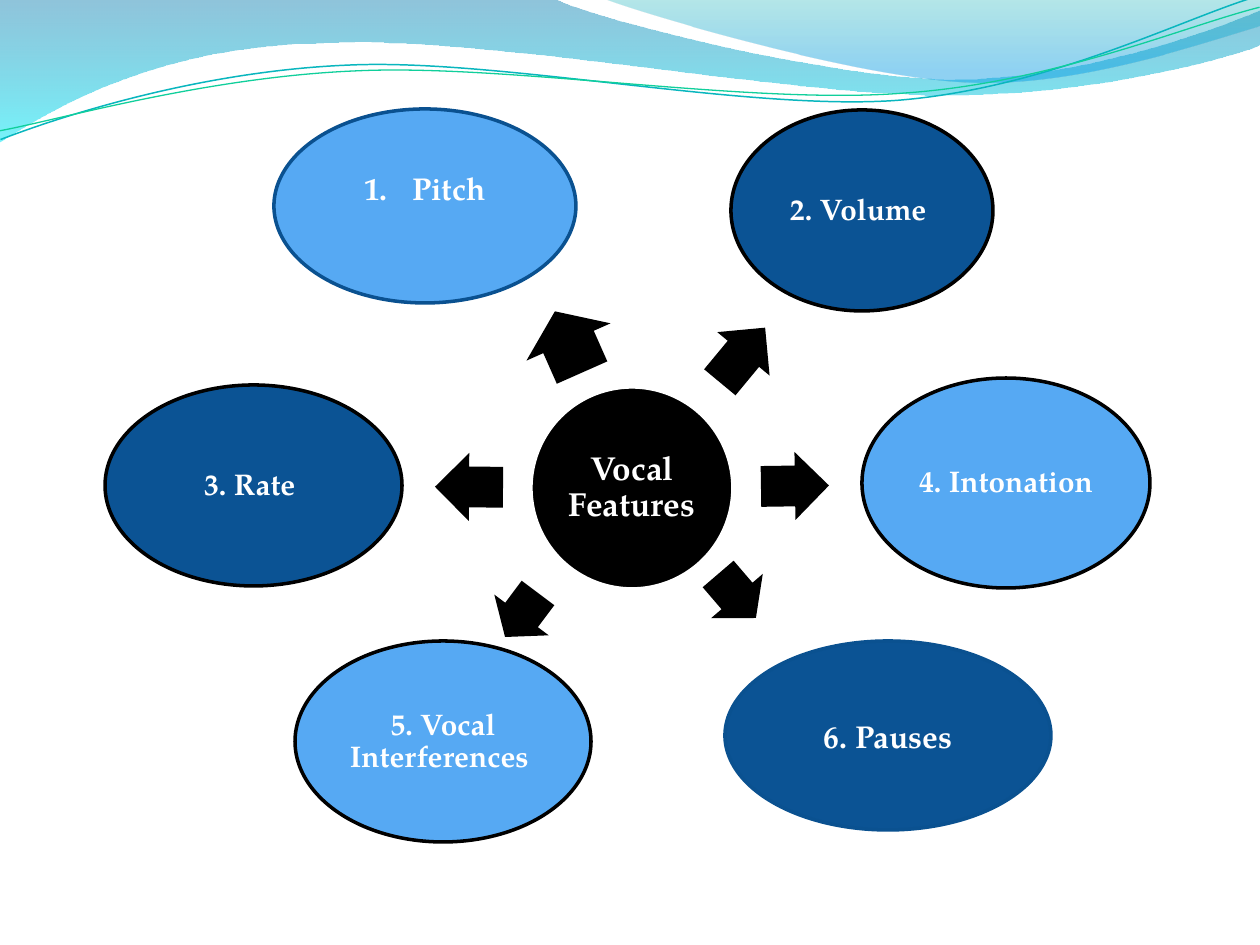
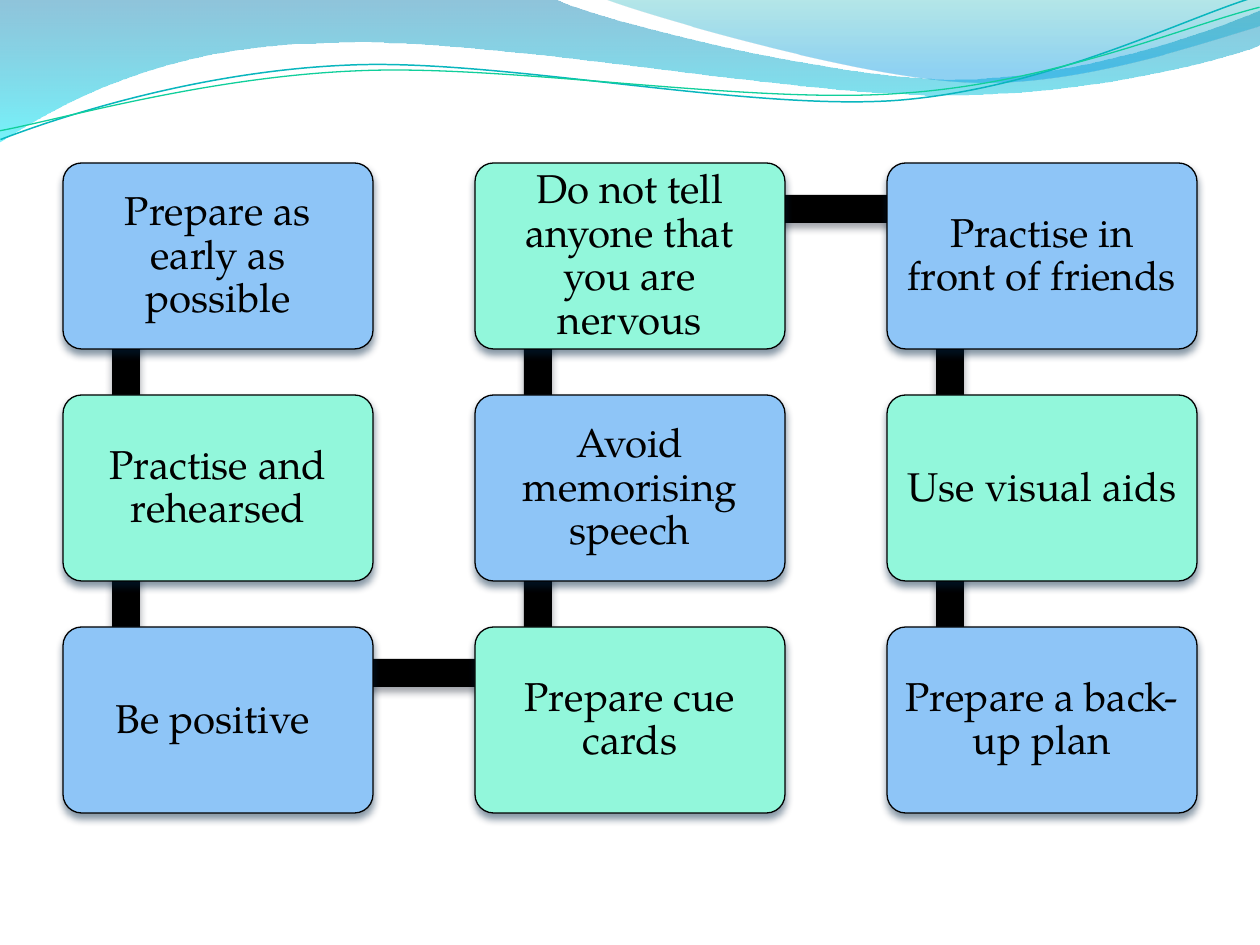
from dataclasses import dataclass
from lxml import etree
from pptx import Presentation
from pptx.dml.color import RGBColor
from pptx.enum.shapes import MSO_SHAPE
from pptx.enum.text import MSO_ANCHOR, PP_ALIGN
from pptx.oxml import parse_xml
from pptx.oxml.ns import nsdecls, qn
from pptx.util import Pt

OVAL = MSO_SHAPE.OVAL
ARROW = MSO_SHAPE.RIGHT_ARROW
RECT = MSO_SHAPE.RECTANGLE
ROUND = MSO_SHAPE.ROUNDED_RECTANGLE
MIDDLE = MSO_ANCHOR.MIDDLE
CENTER = PP_ALIGN.CENTER

SCALE = 914400 / 126
WIDE, HIGH = 1260, 945


@dataclass(frozen=True)
class Style:
    size: int
    color: str
    bold: bool
    lead: float
    pad: tuple


class Theme:
    font = "TeX Gyre Pagella"
    black = "000000"
    white = "FFFFFF"
    navy = "0B5394"
    edge = "0A5190"
    sky = "56A9F3"
    tiles = ("8EC5F7", "92F7DB")
    tile_shade = "022442"
    bar_shade = "363C4A"
    hub = Style(19, white, True, 0.9, (4, 4, 4, 4))
    spoke = Style(17, white, True, 0.9, (3, 3, 3, 3))
    plain = Style(18, white, True, 1.0, (13, 6, 13, 6))
    raised = Style(18, white, True, 1.0, (13, 6, 13, 43))
    tip = Style(23, black, False, 0.9, (13, 13, 13, 13))


WAVES = [
    {"start": (0, 0),
     "parts": [(554, -1), (600, 21, 837, 79, 955, 79), (1075, 79, 1207, 33, 1260, 11),
               (1261, 45), (1239, 55, 1096, 96, 940, 95), (784, 95, 481, 35, 324, 43),
               (163, 45, 58, 105, -1, 142)],
     "stops": [(0, "0079AD", 44), (100, "00E9F7", 54)]},
    {"start": (604, -1),
     "parts": [(641, 14, 859, 78, 969, 82), (1079, 87, 1211, 40, 1260, 26), (1260, 0)],
     "stops": [(0, "00ABB4", 29), (80, "0099E4", 44), (100, "0099E4", 44)]},
    {"start": (-2, 110),
     "parts": [(58, 90, 199, 51, 349, 52), (499, 52, 745, 117, 896, 113),
               (1048, 108, 1184, 45, 1260, 26)],
     "line": ("09B6BE", 0.85), "turn": 357.3},
    {"start": (-2, 101),
     "parts": [(57, 93, 207, 57, 357, 58), (508, 58, 750, 111, 902, 106),
               (1052, 103, 1187, 52, 1262, 37)],
     "line": ("10CF9B", 0.75), "turn": 357.3},
]

HUB = ("Vocal Features", (531, 387, 202, 202))
SPOKES = [
    ("Pitch", (274, 109, 302, 194), Theme.sky, Theme.edge, Theme.raised, (535, 296, 67, 92), 246.1),
    ("2. Volume ", (731, 110, 262, 201), Theme.navy, Theme.black, Theme.spoke, (707, 321, 71, 68), 309.7),
    ("3. Rate ", (105, 385, 297, 201), Theme.navy, Theme.black, Theme.spoke, (435, 453, 68, 68), 180.4),
    ("4. Intonation", (862, 378, 288, 210), Theme.sky, Theme.black, Theme.spoke, (761, 452, 68, 68), 359.2),
    ("5. Vocal Interferences ", (295, 641, 296, 201), Theme.sky, Theme.black, Theme.spoke, (494, 581, 55, 68), 126.8),
    ("6. Pauses", (725, 641, 326, 189), Theme.navy, Theme.edge, Theme.plain, (708, 562, 58, 68), 49.4),
]
NUMBERED = "Pitch"

TIPS = [
    "Prepare as early as possible", "Practise and rehearsed", "Be positive ",
    "Prepare cue cards", "Avoid memorising speech", "Do not tell anyone that you are nervous",
    "Practise in front of friends", "Use visual aids", "Prepare a back-up plan",
]
ROWS = 3
ORIGIN = (63, 163)
PITCH = (412, 232)
TILE = (310, 186)
BAR = 28


def px(value):
    return round(value * SCALE)


def rgb(code):
    return RGBColor.from_string(code)


def bend(shape, parts):
    outline = next(shape._element.spPr.iter(qn("a:path")))
    lines = iter(outline.findall(qn("a:lnTo")))
    for part in parts:
        first = next(lines)
        if len(part) == 2:
            continue
        curve = etree.Element(qn("a:cubicBezTo"))
        outline.replace(first, curve)
        curve.append(first[0])
        for _ in range(2):
            line = next(lines)
            curve.append(line[0])
            outline.remove(line)


def fade(shape, stops):
    shape.fill.background()
    marks = "".join(
        f'<a:gs pos="{pos * 1000}"><a:srgbClr val="{code}">'
        f'<a:alpha val="{alpha * 1000}"/></a:srgbClr></a:gs>'
        for pos, code, alpha in stops)
    grad = parse_xml(f'<a:gradFill {nsdecls("a")} rotWithShape="1"><a:gsLst>{marks}</a:gsLst>'
                     '<a:lin ang="5400000" scaled="0"/></a:gradFill>')
    props = shape._element.spPr
    props.replace(props.find(qn("a:noFill")), grad)


def edge(shape, line):
    if line:
        shape.line.color.rgb = rgb(line[0])
        shape.line.width = Pt(line[1])
    else:
        shape.line.fill.background()


def add_wave(slide, wave):
    filled = "stops" in wave
    spots = [(px(part[i]), px(part[i + 1]))
             for part in wave["parts"] for i in range(0, len(part), 2)]
    pen = slide.shapes.build_freeform(*map(px, wave["start"]), scale=1.0)
    pen.add_line_segments(spots, close=filled)
    shape = pen.convert_to_shape()
    bend(shape, wave["parts"])
    shape.shadow.inherit = False
    shape.rotation = wave.get("turn", 0)
    if filled:
        fade(shape, wave["stops"])
    else:
        shape.fill.background()
    edge(shape, wave.get("line"))


def add_box(slide, kind, box, fill, line=None, shade=None):
    shape = slide.shapes.add_shape(kind, *map(px, box))
    shape.shadow.inherit = False
    shape.fill.solid()
    shape.fill.fore_color.rgb = rgb(fill)
    edge(shape, line)
    if shade:
        effects = shape._element.spPr.find(qn("a:effectLst"))
        drop = etree.SubElement(effects, qn("a:outerShdw"), blurRad=str(Pt(4.5)),
                                dist=str(Pt(3)), dir="5400000", rotWithShape="0")
        tint = etree.SubElement(drop, qn("a:srgbClr"), val=shade)
        etree.SubElement(tint, qn("a:alpha"), val="47000")
    return shape


def number(para):
    props = para._p.get_or_add_pPr()
    props.set("marL", str(px(48)))
    props.set("indent", str(px(-48)))
    tint = etree.SubElement(props, qn("a:buClr"))
    etree.SubElement(tint, qn("a:srgbClr"), val=Theme.white)
    etree.SubElement(props, qn("a:buAutoNum"), type="arabicPeriod")


def write(shape, text, style):
    frame = shape.text_frame
    frame.word_wrap = True
    frame.vertical_anchor = MIDDLE
    (frame.margin_left, frame.margin_top,
     frame.margin_right, frame.margin_bottom) = map(px, style.pad)
    para = frame.paragraphs[0]
    para.text = text
    if text == NUMBERED:
        number(para)
    para.alignment = CENTER
    para.line_spacing = style.lead
    font = para.font
    font.name = Theme.font
    font.size = Pt(style.size)
    font.bold = style.bold
    font.color.rgb = rgb(style.color)


def new_slide(deck):
    slide = deck.slides.add_slide(deck.slide_layouts[6])
    for wave in WAVES:
        add_wave(slide, wave)
    return slide


def draw_wheel(slide):
    text, box = HUB
    write(add_box(slide, OVAL, box, Theme.black, (Theme.white, 2)), text, Theme.hub)
    for text, box, fill, line, style, place, turn in SPOKES:
        arrow = add_box(slide, ARROW, place, Theme.black)
        arrow.adjustments[0] = 0.6
        arrow.adjustments[1] = 0.5
        arrow.rotation = turn
        write(add_box(slide, OVAL, box, fill, (line, 2)), text, style)


def spot(index):
    col, row = divmod(index, ROWS)
    if col % 2:
        row = ROWS - 1 - row
    return ORIGIN[0] + col * PITCH[0], ORIGIN[1] + row * PITCH[1]


def add_bar(slide, here, there):
    left, top = min(here[0], there[0]), min(here[1], there[1])
    if here[1] == there[1]:
        box, turn = (left + 64, top + 32, PITCH[0], BAR), 0
    else:
        box = (left + 63 - PITCH[1] / 2, top + 148, PITCH[1], BAR)
        turn = 90 if there[1] > here[1] else 270
    bar = add_box(slide, RECT, box, Theme.black, shade=Theme.bar_shade)
    bar.rotation = turn


def draw_path(slide):
    for index, text in enumerate(TIPS):
        here = spot(index)
        if index < len(TIPS) - 1:
            add_bar(slide, here, spot(index + 1))
        tile = add_box(slide, ROUND, here + TILE, Theme.tiles[index % 2],
                       (Theme.black, 0.75), Theme.tile_shade)
        tile.adjustments[0] = 0.1
        write(tile, text, Theme.tip)


def main():
    deck = Presentation()
    deck.slide_width, deck.slide_height = px(WIDE), px(HIGH)
    for draw in (draw_wheel, draw_path):
        draw(new_slide(deck))
    deck.save("out.pptx")


if __name__ == "__main__":
    main()
